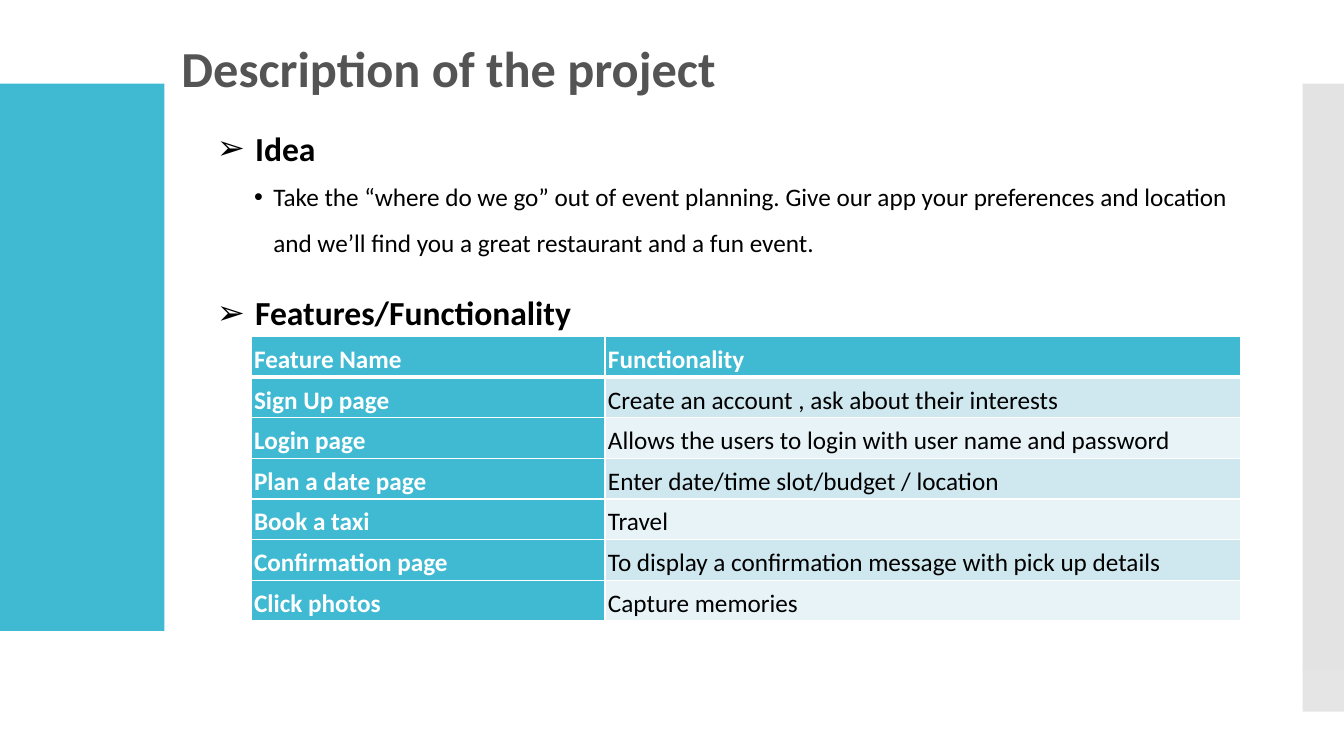
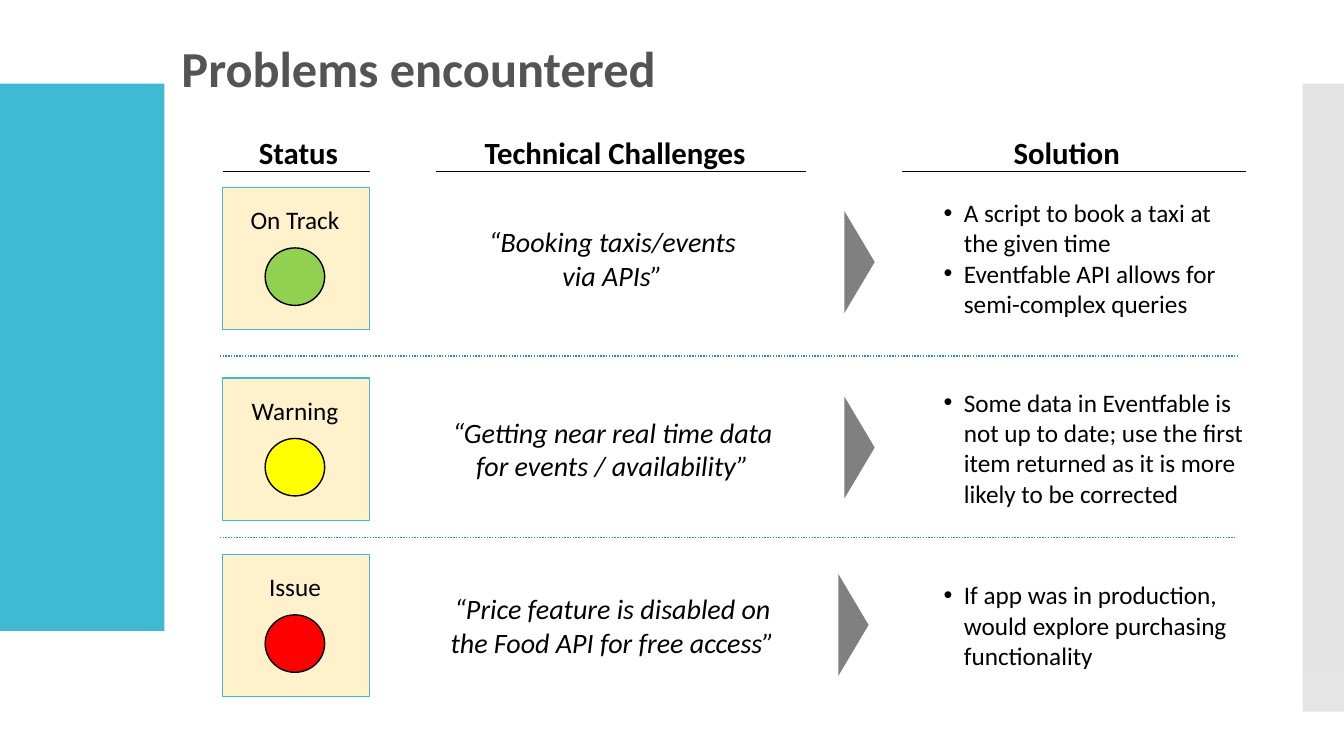
"""Build two project slides: a feature table and a status board of problems."""
from dataclasses import dataclass
from typing import Any

from lxml import etree
from pptx import Presentation
from pptx.dml.color import RGBColor
from pptx.enum.dml import MSO_LINE
from pptx.enum.shapes import MSO_CONNECTOR, MSO_SHAPE
from pptx.enum.text import MSO_ANCHOR, MSO_AUTO_SIZE, PP_ALIGN
from pptx.oxml.ns import qn
from pptx.util import Inches, Pt

RECTANGLE, OVAL = MSO_SHAPE.RECTANGLE, MSO_SHAPE.OVAL
TRIANGLE = MSO_SHAPE.ISOSCELES_TRIANGLE
STRAIGHT = MSO_CONNECTOR.STRAIGHT
LEFT, CENTER = PP_ALIGN.LEFT, PP_ALIGN.CENTER
TOP, BOTTOM = MSO_ANCHOR.TOP, MSO_ANCHOR.BOTTOM
NO_AUTOFIT = MSO_AUTO_SIZE.NONE
DOTTED = MSO_LINE.ROUND_DOT


@dataclass(frozen=True)
class Theme:
    """Colours, font and type sizes shared by the slides."""
    font: str = "Calibri"
    accent: str = "40BAD2"
    divider: str = "2791A6"
    side: str = "C8C8C8"
    side_end: str = "E5E5E5"
    title: str = "545454"
    ink: str = "000000"
    paper: str = "FFFFFF"
    card: str = "FFF1CB"
    arrow: str = "808080"
    bands: tuple[str, str] = ("CFE7EE", "E8F3F7")
    title_size: int = 36
    heading_size: int = 24
    column_size: int = 22
    quote_size: int = 20
    body_size: int = 18


THEME = Theme()


@dataclass(frozen=True)
class Box:
    """A place on the slide, in inches."""
    left: float
    top: float
    width: float
    height: float

    def lengths(self) -> tuple[int, int, int, int]:
        """Return left, top, width and height as lengths."""
        return (Inches(self.left), Inches(self.top),
                Inches(self.width), Inches(self.height))


@dataclass(frozen=True)
class TextStyle:
    """How the paragraphs of a text look."""
    size: int
    color: str = THEME.ink
    bold: bool = False
    italic: bool = False
    align: Any = LEFT
    spacing: float = 1.0
    bullet: str = ""
    indent: float = 0
    inset: tuple[float, float] = (0.1, 0.05)
    anchor: Any = TOP


TITLE = TextStyle(THEME.title_size, THEME.title, bold=True, spacing=0.9, anchor=BOTTOM)
HEADING = TextStyle(THEME.heading_size, bold=True, spacing=1.5, bullet="➢",
                    indent=0.38, inset=(0.07, 0.04))
IDEA = TextStyle(THEME.body_size, spacing=1.5, bullet="•", indent=0.19)
COLUMN = TextStyle(THEME.column_size, bold=True, align=CENTER)
STATUS = TextStyle(THEME.body_size, align=CENTER)
CHALLENGE = TextStyle(THEME.quote_size, italic=True, align=CENTER, inset=(0, 0.05))
SOLUTION = TextStyle(THEME.body_size, bullet="•", indent=0.2, inset=(0, 0.05))
CELL_INSET = (0.03, 0.02)
LABEL_CELL = TextStyle(THEME.body_size, THEME.paper, bold=True, spacing=1.07,
                       inset=CELL_INSET, anchor=BOTTOM)
DETAIL_CELL = TextStyle(THEME.body_size, spacing=1.07, inset=CELL_INSET, anchor=BOTTOM)


@dataclass(frozen=True)
class Column:
    """A heading of the status board with the rule under it."""
    name: str
    box: Box
    rule_start: float
    rule_end: float


@dataclass(frozen=True)
class Problem:
    """One row of the status board."""
    status: str
    light: str
    top: float
    challenge: str
    solutions: tuple[str, ...]
    solution_box: Box
    arrow_left: float
    arrow_top: float


FEATURES = (
    ("Feature Name", "Functionality"),
    ("Sign Up page", "Create an account , ask about their interests"),
    ("Login page", "Allows the users to login with user name and password"),
    ("Plan a date page", "Enter date/time slot/budget / location"),
    ("Book a taxi", "Travel"),
    ("Confirmation page", "To display a confirmation message with pick up details"),
    ("Click photos", "Capture memories"),
)
COLUMNS = (
    Column("Status", Box(2.26, 1.28, 1.4, 0.47), 2.21, 3.67),
    Column("Technical Challenges", Box(4.4, 1.28, 3.4, 0.47), 4.32, 7.99),
    Column("Solution", Box(9.7, 1.28, 1.76, 0.47), 8.95, 12.36),
)
PROBLEMS = (
    Problem("On Track", "92D050", 1.86, "“Booking taxis/events\nvia APIs”",
            ("A script to book a taxi at the given time",
             "Eventfable API allows for semi-complex queries"),
            Box(9.36, 1.91, 3.01, 1.31), 8.02, 2.45),
    Problem("Warning", "FFFF00", 3.75,
            "“Getting near real time data for events / availability”",
            ("Some data in Eventfable is not up to date; use the first item "
             "returned as it is more likely to be corrected",),
            Box(9.36, 3.79, 3.01, 1.31), 8.02, 4.29),
    Problem("Issue", "FF0000", 5.5,
            "“Price feature is disabled on the Food API for free access”",
            ("If app was in production, would explore purchasing functionality",),
            Box(9.36, 5.7, 3.01, 1.01), 7.96, 6.05),
)
DIVIDERS = ((3.53, 12.29), (5.33, 12.26))
SOLUTION_SLOTS = (1, 2, 4)


def rgb(color: str) -> RGBColor:
    """Turn a hex colour into an RGBColor."""
    return RGBColor.from_string(color)


def write_paragraph(paragraph: Any, text: str, style: TextStyle) -> None:
    """Format one paragraph and add its runs, one per line."""
    paragraph.alignment = style.align
    paragraph.line_spacing = style.spacing
    paragraph.space_before = paragraph.space_after = Pt(0)
    properties = paragraph._p.get_or_add_pPr()
    properties.set("marL", str(Inches(style.indent)))
    properties.set("indent", str(-Inches(style.indent)))
    if style.bullet:
        etree.SubElement(properties, qn("a:buFont"), typeface="Arial")
        etree.SubElement(properties, qn("a:buChar"), char=style.bullet)
    else:
        etree.SubElement(properties, qn("a:buNone"))
    for number, line in enumerate(text.split("\n")):
        if number:
            paragraph.add_line_break()
        run = paragraph.add_run()
        run.text = line
        run.font.name = THEME.font
        run.font.size = Pt(style.size)
        run.font.bold = style.bold
        run.font.italic = style.italic
        run.font.color.rgb = rgb(style.color)


def write_frame(frame: Any, texts: tuple[str, ...], style: TextStyle) -> None:
    """Fill a text frame with one paragraph per text."""
    frame.word_wrap = True
    frame.auto_size = NO_AUTOFIT
    frame.vertical_anchor = style.anchor
    frame.margin_left = frame.margin_right = Inches(style.inset[0])
    frame.margin_top = frame.margin_bottom = Inches(style.inset[1])
    for number, text in enumerate(texts):
        paragraph = frame.add_paragraph() if number else frame.paragraphs[0]
        write_paragraph(paragraph, text, style)


def place(holder: Any, box: Box) -> None:
    """Move and size a placeholder."""
    holder.left, holder.top, holder.width, holder.height = box.lengths()


def fill_slot(slide: Any, slot: int, box: Box, texts: tuple[str, ...],
              style: TextStyle) -> None:
    """Place and fill one of the slide's body placeholders."""
    holder = next(item for item in slide.placeholders
                  if item.placeholder_format.idx == slot)
    place(holder, box)
    write_frame(holder.text_frame, texts, style)


def drop_empty_slots(slide: Any) -> None:
    """Remove the placeholders left without text."""
    for holder in list(slide.placeholders):
        if not holder.text_frame.text:
            holder.element.getparent().remove(holder.element)


def add_label(shapes: Any, box: Box, text: str, style: TextStyle) -> None:
    """Add a text box."""
    write_frame(shapes.add_textbox(*box.lengths()).text_frame, (text,), style)


def add_block(shapes: Any, kind: Any, box: Box, fill: str, line: str = "",
              line_width: float = 0.75) -> Any:
    """Add a filled shape, outlined when a line colour is given."""
    block = shapes.add_shape(kind, *box.lengths())
    block.shadow.inherit = False
    block.fill.solid()
    block.fill.fore_color.rgb = rgb(fill)
    if line:
        block.line.color.rgb = rgb(line)
        block.line.width = Pt(line_width)
    else:
        block.line.fill.background()
    return block


def add_rule(slide: Any, start: float, end: float, top: float, color: str,
             width: float) -> Any:
    """Add a horizontal line."""
    rule = slide.shapes.add_connector(STRAIGHT, Inches(start), Inches(top),
                                      Inches(end), Inches(top))
    rule.line.color.rgb = rgb(color)
    rule.line.width = Pt(width)
    etree.SubElement(rule.element.spPr, qn("a:effectLst"))
    return rule


def style_layout(layout: Any, slide: Any) -> None:
    """Give the layout its title place and side bands."""
    place(layout.placeholders.get(idx=0), Box(1.7, 0.35, 10.46, 0.68))
    accent_band = add_block(slide.shapes, RECTANGLE, Box(0, 0.83, 1.63, 5.43), THEME.accent)
    side_band = add_block(slide.shapes, RECTANGLE, Box(12.92, 0.83, 0.42, 5.83), THEME.side)
    side_end = add_block(slide.shapes, RECTANGLE, Box(12.92, 6.64, 0.42, 0.42), THEME.side_end)
    tint = side_band.element.spPr.find(f"{qn('a:solidFill')}/{qn('a:srgbClr')}")
    etree.SubElement(tint, qn("a:alpha"), val="50000")
    for position, band in enumerate((accent_band, side_band, side_end), start=2):
        layout.element.cSld.spTree.insert(position, band.element)


def border_cell(cell: Any, widths: dict[str, float]) -> None:
    """Draw the sides of a cell in the paper colour."""
    properties = cell._tc.get_or_add_tcPr()
    for side, width in widths.items():
        edge = etree.SubElement(properties, qn(f"a:ln{side}"), w=str(Pt(width)))
        fill = etree.SubElement(edge, qn("a:solidFill"))
        etree.SubElement(fill, qn("a:srgbClr"), val=THEME.paper)


def add_feature_table(slide: Any) -> None:
    """Add the table of features."""
    box = Box(2.49, 3.34, 9.81, 2.82)
    table = slide.shapes.add_table(len(FEATURES), 2, *box.lengths()).table
    table.first_row = table.horz_banding = False
    for column, width in zip(table.columns, (3.51, 6.3)):
        column.width = Inches(width)
    for row, texts in enumerate(FEATURES):
        for column, text in enumerate(texts):
            cell = table.cell(row, column)
            is_label = row == 0 or column == 0
            style = LABEL_CELL if is_label else DETAIL_CELL
            border_cell(cell, {"L": 1, "R": 1, "T": 3 if row == 1 else 1,
                               "B": 3 if row == 0 else 1})
            cell.fill.solid()
            cell.fill.fore_color.rgb = rgb(
                THEME.accent if is_label else THEME.bands[(row - 1) % 2])
            cell.vertical_anchor = style.anchor
            cell.margin_left = cell.margin_right = Inches(style.inset[0])
            cell.margin_top = cell.margin_bottom = Inches(style.inset[1])
            write_paragraph(cell.text_frame.paragraphs[0], text, style)


def build_description(slide: Any) -> None:
    """Fill the slide on the idea and the features."""
    write_frame(slide.shapes.title.text_frame, ("Description of the project",), TITLE)
    fill_slot(slide, 1, Box(2.08, 1.03, 6.96, 0.62), ("Idea",), HEADING)
    fill_slot(slide, 2, Box(2.42, 1.6, 10.25, 1.01),
              ("Take the “where do we go” out of event planning. Give our app your "
               "preferences and location and we’ll find you a great restaurant and "
               "a fun event.",), IDEA)
    fill_slot(slide, 3, Box(2.08, 2.66, 6.96, 0.62), ("Features/Functionality",), HEADING)
    drop_empty_slots(slide)
    add_feature_table(slide)


def add_problem(slide: Any, problem: Problem, slot: int) -> None:
    """Add one row of the status board."""
    card = slide.shapes.add_group_shape().shapes
    add_block(card, RECTANGLE, Box(2.21, problem.top, 1.46, 1.41), THEME.card, THEME.accent)
    add_block(card, OVAL, Box(2.63, problem.top + 0.6, 0.59, 0.57), problem.light, THEME.ink, 1)
    add_label(card, Box(2.18, problem.top + 0.12, 1.49, 0.4), problem.status, STATUS)
    add_label(slide.shapes, Box(4.4, problem.top + 0.32, 3.35, 0.77),
              problem.challenge, CHALLENGE)
    arrow = add_block(slide.shapes, TRIANGLE,
                      Box(problem.arrow_left, problem.arrow_top, 1.01, 0.3), THEME.arrow)
    arrow.rotation = 90
    fill_slot(slide, slot, problem.solution_box, problem.solutions, SOLUTION)


def build_problems(slide: Any) -> None:
    """Fill the slide on problems and their solutions."""
    write_frame(slide.shapes.title.text_frame, ("Problems encountered",), TITLE)
    for column in COLUMNS:
        add_label(slide.shapes, column.box, column.name, COLUMN)
        add_rule(slide, column.rule_start, column.rule_end, 1.7, THEME.ink, 0.75)
    for problem, slot in zip(PROBLEMS, SOLUTION_SLOTS):
        add_problem(slide, problem, slot)
    for top, end in DIVIDERS:
        add_rule(slide, 2.18, end, top, THEME.divider, 1).line.dash_style = DOTTED
    drop_empty_slots(slide)


def main() -> None:
    """Build and save the presentation."""
    deck = Presentation()
    deck.slide_width, deck.slide_height = Inches(13.33), Inches(7.5)
    layout = deck.slide_layouts.get_by_name("Comparison")
    description = deck.slides.add_slide(layout)
    style_layout(layout, description)
    build_description(description)
    build_problems(deck.slides.add_slide(layout))
    deck.save("out.pptx")


if __name__ == "__main__":
    main()
